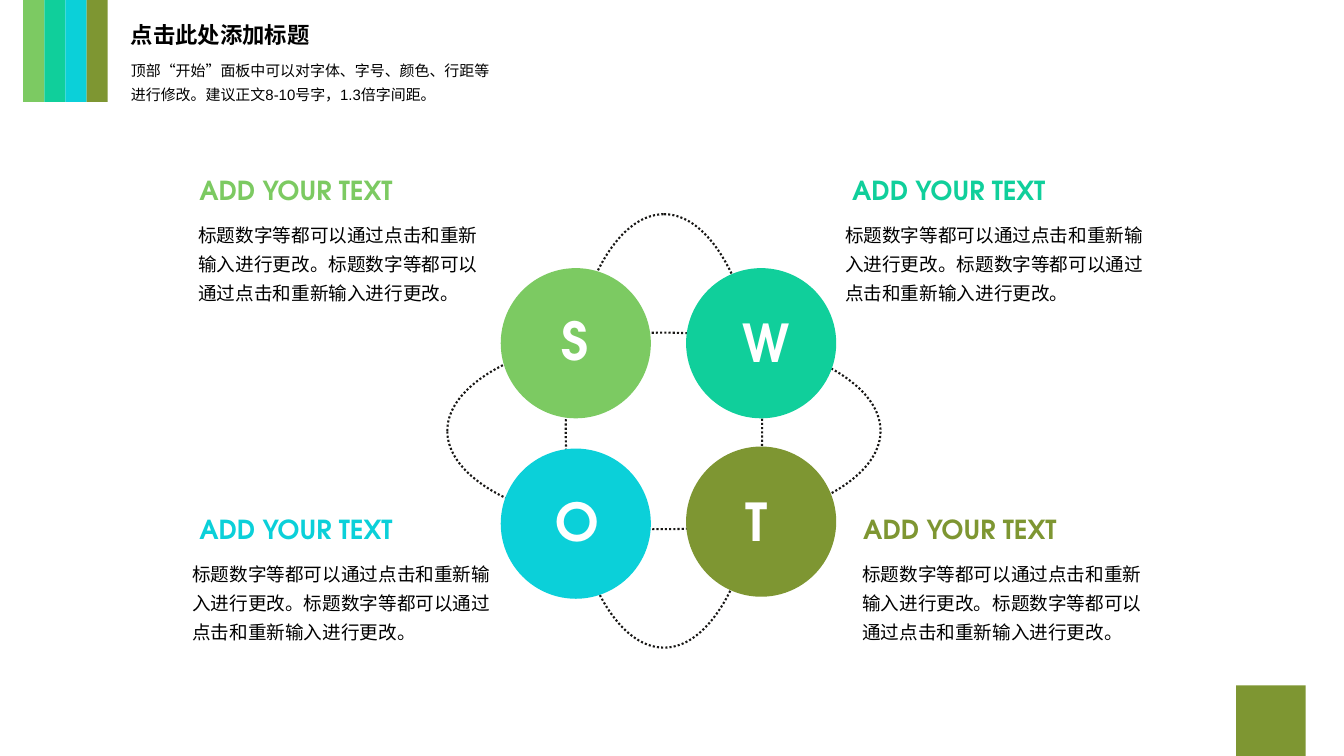
from lxml import etree
from pptx import Presentation
from pptx import util as u
from pptx.dml.color import RGBColor
from pptx.enum import dml, shapes, text
from pptx.oxml import ns

GREEN, TEAL, CYAN, OLIVE = "7CCA62", "10CF9B", "0BD0D9", "7E9632"
BLACK, WHITE, DOTTED = "000000", "FFFFFF", "181715"
CJK, LATIN, DISPLAY = "Noto Sans CJK SC", "Arial", "TeX Gyre Adventor"
TITLE = "点击此处添加标题"
SUBTITLE = "顶部“开始”面板中可以对字体、字号、颜色、行距等进行修改。建议正文8-10号字，1.3倍字间距。"
HEADING = "ADD YOUR TEXT"
DESCRIPTION = "标题数字等都可以通过点击和重新输入进行更改。" * 2


def color(value):
    return RGBColor.from_string(value)


def place(shape, left, top, width, height):
    shape.left, shape.top = u.Inches(left), u.Inches(top)
    shape.width, shape.height = u.Inches(width), u.Inches(height)


def write(shape, content, size, font, fill, bold=False, align=text.PP_ALIGN.LEFT,
          spacing=None, anchor=text.MSO_ANCHOR.TOP):
    frame = shape.text_frame
    frame.word_wrap = True
    frame.auto_size = text.MSO_AUTO_SIZE.NONE
    frame.vertical_anchor = anchor
    paragraph = frame.paragraphs[0]
    paragraph.alignment = align
    paragraph.space_before = u.Pt(0)
    if spacing:
        paragraph.line_spacing = u.Pt(spacing)
    run = paragraph.add_run()
    run.text = content
    run.font.size = u.Pt(size)
    run.font.bold = bold
    run.font.color.rgb = color(fill)
    run.font.name = font
    etree.SubElement(run.font._element, ns.qn("a:ea"), typeface=CJK)
    return paragraph


def add_text(slide, box, *details, **options):
    shape = slide.shapes.add_textbox(*map(u.Inches, box))
    write(shape, *details, **options)


def add_filled(slide, kind, box, fill):
    shape = slide.shapes.add_shape(kind, *map(u.Inches, box))
    shape.shadow.inherit = False
    shape.fill.solid()
    shape.fill.fore_color.rgb = color(fill)
    shape.line.fill.background()


def add_dotted_ellipse(slide, rotation):
    shape = slide.shapes.add_shape(
        shapes.MSO_SHAPE.OVAL, *map(u.Inches, (4.44, 3.3, 4.3, 1.95)))
    shape.shadow.inherit = False
    shape.rotation = rotation
    shape.fill.background()
    shape.line.color.rgb = color(DOTTED)
    shape.line.width = u.Pt(1.5)
    shape.line.dash_style = dml.MSO_LINE.ROUND_DOT


def add_header(slide):
    title, subtitle = slide.shapes.title, slide.placeholders[1]
    place(title, 1.2, 0.17, 2.28, 0.34)
    write(title, TITLE, 16, LATIN, BLACK, bold=True, anchor=text.MSO_ANCHOR.MIDDLE)
    place(subtitle, 1.2, 0.5, 3.78, 0.51)
    paragraph = write(subtitle, SUBTITLE, 10.7, LATIN, BLACK, spacing=17.2)
    properties = paragraph._p.get_or_add_pPr()
    properties.set("marL", "0")
    properties.set("indent", "0")
    etree.SubElement(properties, ns.qn("a:buNone"))


def main():
    presentation = Presentation()
    presentation.slide_width = u.Inches(13.34)
    presentation.slide_height = u.Inches(7.5)
    slide = presentation.slides.add_slide(presentation.slide_layouts[1])

    for index, fill in enumerate((GREEN, TEAL, CYAN, OLIVE)):
        add_filled(slide, shapes.MSO_SHAPE.RECTANGLE,
                   (0.23 + 0.21 * index, 0, 0.21, 1.01), fill)
    add_filled(slide, shapes.MSO_SHAPE.RECTANGLE, (12.27, 6.8, 0.69, 0.7), OLIVE)
    add_header(slide)

    for rotation in (0, 90):
        add_dotted_ellipse(slide, rotation)

    quadrants = [
        ("S", GREEN, (4.97, 2.66), (5.41, 3.01, 0.6), (1.88, 1.68), (1.87, 3.08)),
        ("W", TEAL, (6.81, 2.66), (7.18, 3.03, 0.84), (8.36, 1.68), (8.29, 3.18)),
        ("O", CYAN, (4.97, 4.45), (5.35, 4.81, 0.77), (1.88, 5.04), (1.81, 3.17)),
        ("T", OLIVE, (6.81, 4.43), (7.23, 4.81, 0.55), (8.47, 5.04), (8.46, 3.13)),
    ]
    for letter, fill, circle, letter_box, heading, (left, width) in quadrants:
        add_filled(slide, shapes.MSO_SHAPE.OVAL, (*circle, 1.49, 1.49), fill)
        add_text(slide, (*letter_box, 0.73), letter, 37.3, DISPLAY, WHITE,
                 bold=True, align=text.PP_ALIGN.CENTER)
        add_text(slide, (*heading, 2.37, 0.42), HEADING, 18.7, DISPLAY, fill, bold=True)
        add_text(slide, (left, heading[1] + 0.43, width, 0.98), DESCRIPTION,
                 13.3, CJK, BLACK, spacing=20.7)

    presentation.save("out.pptx")


if __name__ == "__main__":
    main()
